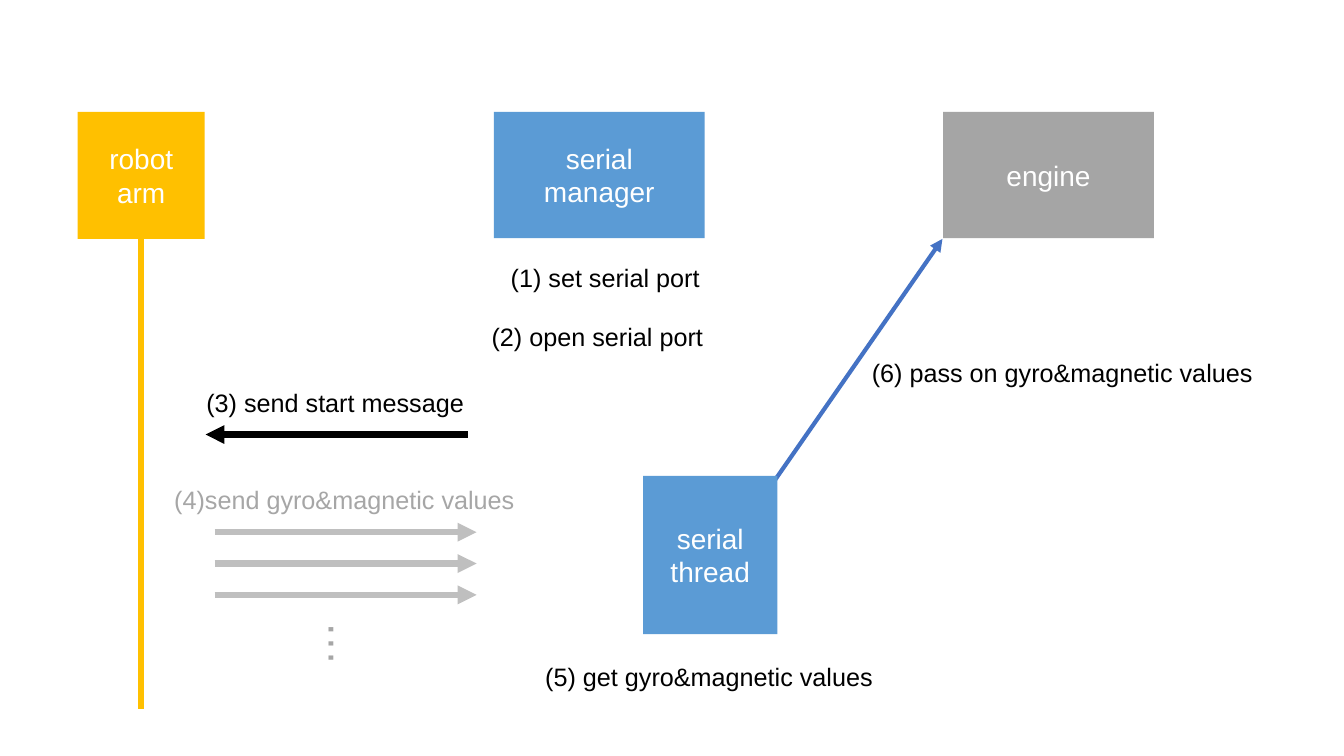
from pptx import Presentation
from pptx.dml.color import RGBColor as RGB
from pptx.enum.shapes import MSO_CONNECTOR as Link, MSO_SHAPE as Shape
from pptx.enum.text import MSO_ANCHOR as Anchor, MSO_AUTO_SIZE as Fit, PP_ALIGN as Align
from pptx.oxml.ns import qn
from pptx.util import Cm, Pt
from lxml.etree import SubElement as Sub


class Theme:
    font = "Arial"
    label, box, dots = 18, 20, 32
    white, black = "FFFFFF", "000000"
    gold, sky, blue = "FFC000", "5B9BD5", "4472C4"
    steel, pale, mute = "A5A5A5", "BFBFBF", "A6A6A6"


def write(frame, lines, size, color, align=None):
    for i, line in enumerate(lines):
        para = frame.add_paragraph() if i else frame.paragraphs[0]
        para.alignment = align
        run = para.add_run()
        run.text = line
        run.font.name = Theme.font
        run.font.size = Pt(size)
        run.font.color.rgb = RGB.from_string(color)


def connect(x1, y1, x2, y2, color, width=4.5, head=True):
    line = slide.shapes.add_connector(Link.STRAIGHT, Cm(x1), Cm(y1), Cm(x2), Cm(y2))
    line.line.color.rgb = RGB.from_string(color)
    line.line.width = Pt(width)
    if head:
        Sub(line.line._get_or_add_ln(), qn("a:tailEnd"), type="triangle")
    Sub(line._element.spPr, qn("a:effectLst"))


deck = Presentation()
deck.slide_width, deck.slide_height = Cm(33.87), Cm(19.05)
slide = deck.slides.add_slide(deck.slide_layouts[6])

# Data flow from thread to engine, below the boxes
connect(19.18, 12.6, 23.75, 6.02, Theme.blue, width=3)

# Actors
boxes = [
    (12.45, 2.82, 5.31, 3.18, Theme.sky, ["serial", "manager"]),
    (23.77, 2.82, 5.31, 3.18, Theme.steel, ["engine"]),
    (1.96, 2.82, 3.2, 3.2, Theme.gold, ["robot arm"]),
    (16.21, 11.99, 3.38, 3.99, Theme.sky, ["serial", "thread"]),
]
for x, y, w, h, color, lines in boxes:
    box = slide.shapes.add_shape(Shape.RECTANGLE, Cm(x), Cm(y), Cm(w), Cm(h))
    box.shadow.inherit = False
    box.fill.solid()
    box.fill.fore_color.rgb = RGB.from_string(color)
    box.line.fill.background()
    box.text_frame.word_wrap = True
    box.text_frame.vertical_anchor = Anchor.MIDDLE
    write(box.text_frame, lines, Theme.box, Theme.white, Align.CENTER)

# Lifeline of the robot arm
connect(3.56, 6.02, 3.56, 17.86, Theme.gold, head=False)

# Start message, then the stream of values
connect(11.79, 10.95, 5.18, 10.95, Theme.black)
for i in range(3):
    y = 13.41 + 0.79 * i
    connect(5.41, y, 12.01, y, Theme.pale)

# Steps
steps = [
    (12.62, 6.48, 5.33, "(1) set serial port", Theme.black),
    (12.14, 7.98, 5.89, "(2) open serial port", Theme.black),
    (4.95, 9.63, 7.06, "(3) send start message", Theme.black),
    (4.14, 12.09, 9.17, "(4)send gyro&magnetic values", Theme.mute),
    (13.49, 16.54, 8.84, "(5) get gyro&magnetic values", Theme.black),
    (21.72, 8.89, 10.21, "(6) pass on gyro&magnetic values", Theme.black),
]
for x, y, w, step, color in steps:
    frame = slide.shapes.add_textbox(Cm(x), Cm(y), Cm(w), Cm(1.02)).text_frame
    frame.word_wrap = False
    frame.auto_size = Fit.SHAPE_TO_FIT_TEXT
    write(frame, [step], Theme.label, color)

# Dots for further values
dots = slide.shapes.add_textbox(Cm(7.92), Cm(15.39), Cm(1.6), Cm(1.63))
dots.rotation = 90
dots.text_frame.word_wrap = True
dots.text_frame.auto_size = Fit.SHAPE_TO_FIT_TEXT
write(dots.text_frame, ["…"], Theme.dots, Theme.mute)

deck.save("out.pptx")
